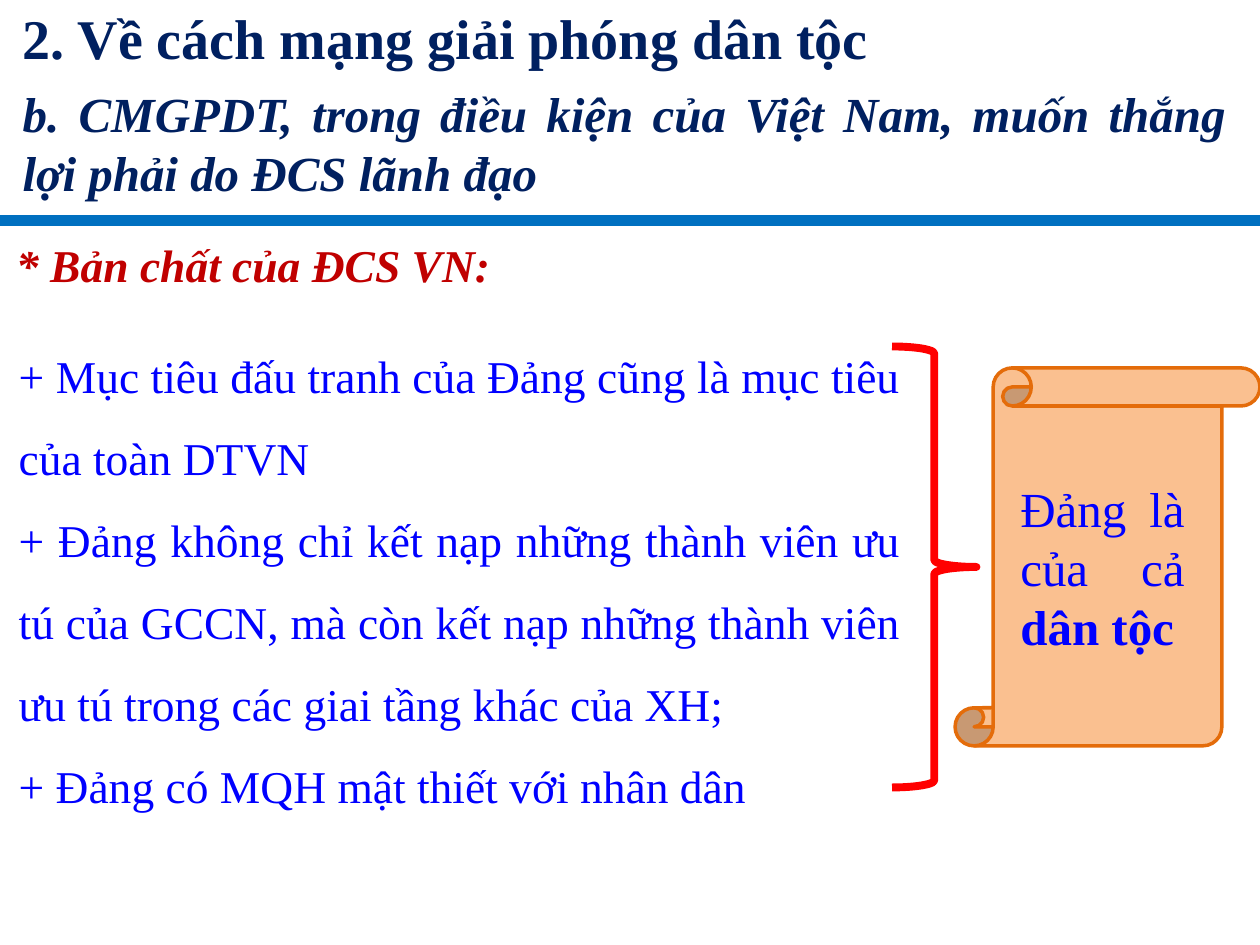
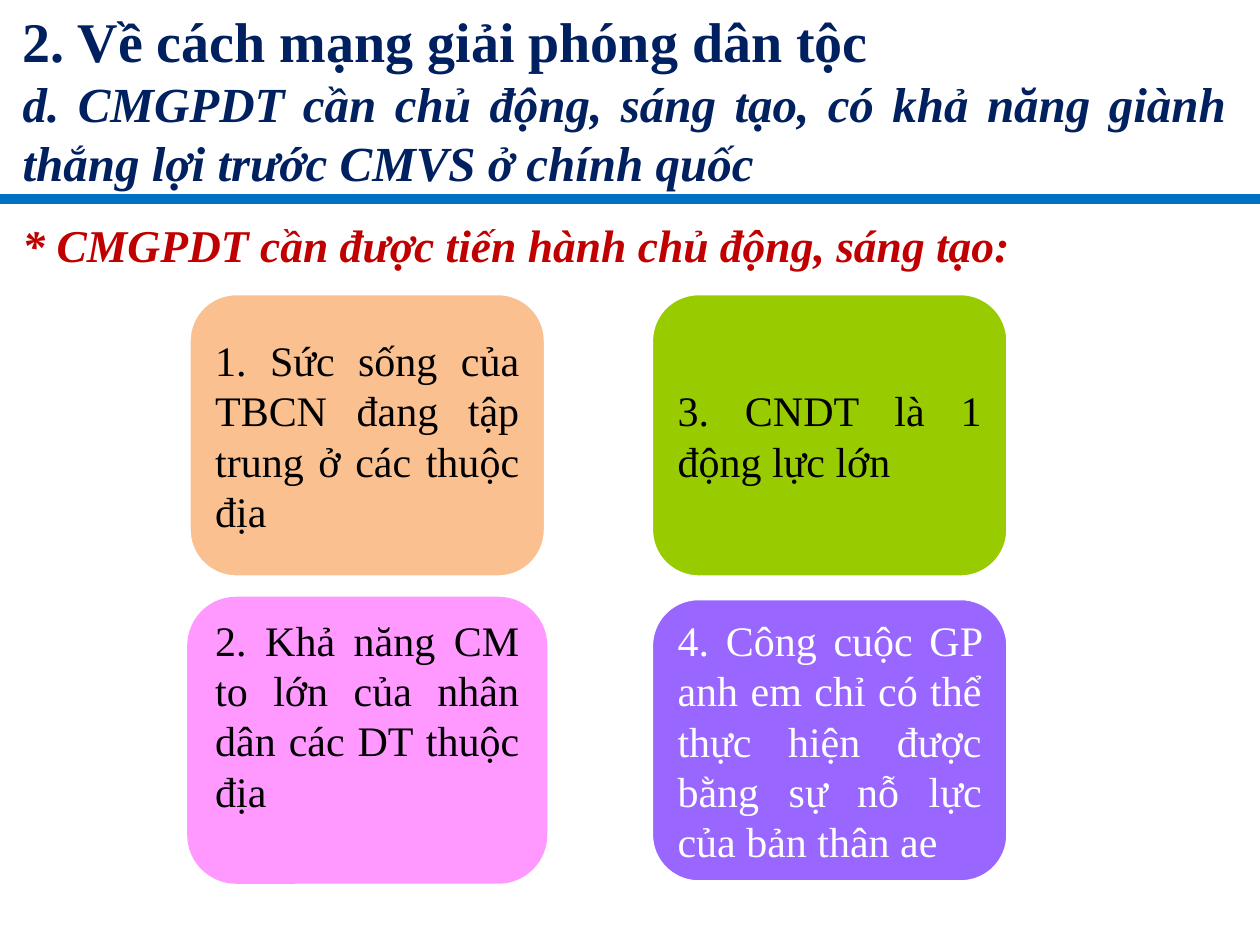
from dataclasses import dataclass

import pptx
import pptx.dml.color
import pptx.enum.shapes
import pptx.enum.text
import pptx.oxml.ns
import pptx.shapes.autoshape
import pptx.slide
import pptx.text.text
import pptx.util
from lxml import etree

Inches = pptx.util.Inches
Pt = pptx.util.Pt
RGBColor = pptx.dml.color.RGBColor
Shapes = pptx.enum.shapes.MSO_SHAPE
Align = pptx.enum.text.PP_ALIGN
Anchor = pptx.enum.text.MSO_ANCHOR

FONT = "Times New Roman"
NAVY = RGBColor(0x00, 0x20, 0x60)
BAND_BLUE = RGBColor(0x00, 0x70, 0xC0)
TEXT_BLUE = RGBColor(0x00, 0x00, 0xFF)
DARK_RED = RGBColor(0xC0, 0x00, 0x00)
RED = RGBColor(0xFF, 0x00, 0x00)
PEACH = RGBColor(0xFA, 0xC0, 0x90)
ORANGE = RGBColor(0xE4, 0x6C, 0x0A)
GREEN = RGBColor(0x99, 0xCC, 0x00)
PINK = RGBColor(0xFF, 0x99, 0xFF)
PURPLE = RGBColor(0x99, 0x66, 0xFF)
BLACK = RGBColor(0x00, 0x00, 0x00)
WHITE = RGBColor(0xFF, 0xFF, 0xFF)

SLIDE_WIDTH = 10
CHAPTER = "2. Về cách mạng giải phóng dân tộc"


@dataclass(frozen=True)
class Box:
    """A rectangle in inches."""
    left: float
    top: float
    width: float
    height: float

    def lengths(self) -> list[int]:
        return [Inches(value) for value in (self.left, self.top, self.width, self.height)]


@dataclass(frozen=True)
class Style:
    size: float
    color: RGBColor
    bold: bool = False
    italic: bool = False
    alignment: Align = Align.JUSTIFY


@dataclass(frozen=True)
class Header:
    section: str
    title_box: Box
    section_gap: float
    rule_top: float
    topic: str
    topic_box: Box


@dataclass(frozen=True)
class Reason:
    text: str
    column: int
    row: int
    fill: RGBColor
    line: RGBColor = WHITE
    text_color: RGBColor = BLACK
    bottom_inset: float = 0.05


CHAPTER_STYLE = Style(32, NAVY, bold=True)
SECTION_STYLE = Style(28, NAVY, bold=True, italic=True)
TOPIC_STYLE = Style(26, DARK_RED, bold=True, italic=True, alignment=Align.LEFT)
BODY_STYLE = Style(26, TEXT_BLUE)
SCROLL_STYLE = Style(28, TEXT_BLUE)

PARTY_HEADER = Header(
    "b. CMGPDT, trong điều kiện của Việt Nam, muốn thắng lợi phải do ĐCS lãnh đạo",
    Box(0.08, -0.02, 9.75, 1.67), 7, 1.75,
    "* Bản chất của ĐCS VN:", Box(0.03, 1.83, 9.8, 0.54))
INITIATIVE_HEADER = Header(
    "d. CMGPDT cần chủ động, sáng tạo, có khả năng giành thắng lợi trước CMVS ở chính quốc",
    Box(0.08, 0, 9.75, 1.57), 0, 1.58,
    "* CMGPDT cần được tiến hành chủ động, sáng tạo:", Box(0.08, 1.67, 9.75, 0.54))

PARTY_POINTS = [
    "+ Mục tiêu đấu tranh của Đảng cũng là mục tiêu của toàn DTVN",
    "+ Đảng không chỉ kết nạp những thành viên ưu tú của GCCN, mà còn kết nạp "
    "những thành viên ưu tú trong các giai tầng khác của XH;",
    "+ Đảng có MQH mật thiết với nhân dân",
]

REASON_FIRST = Box(1.5, 2.33, 2.83, 2.25)
REASON_COLUMN_STEP = 3.67
REASON_ROW_STEP = 2.42
REASONS = [
    Reason("1. Sức sống của TBCN đang tập trung ở các thuộc địa", 0, 0, PEACH),
    Reason("2. Khả năng CM to lớn của nhân dân các DT thuộc địa", 0, 1, PINK,
           line=PINK, bottom_inset=0.45),
    Reason("3. CNDT là 1 động lực lớn", 1, 0, GREEN),
    Reason("4. Công cuộc GP anh em chỉ có thể thực hiện được bằng sự nỗ lực của bản thân ae",
           1, 1, PURPLE, text_color=WHITE),
]


def style_paragraph(paragraph: pptx.text.text._Paragraph, style: Style) -> None:
    paragraph.alignment = style.alignment
    font = paragraph.font
    font.name = FONT
    font.size = Pt(style.size)
    font.bold = style.bold
    font.italic = style.italic
    font.color.rgb = style.color


def write(frame: pptx.text.text.TextFrame, lines: list[tuple[str, Style]],
          anchor: Anchor = Anchor.TOP) -> None:
    """Fill a text frame with one paragraph per line."""
    frame.word_wrap = True
    frame.auto_size = pptx.enum.text.MSO_AUTO_SIZE.NONE
    frame.vertical_anchor = anchor
    frame.text = "\n".join(text for text, _ in lines)
    for paragraph, (_, style) in zip(frame.paragraphs, lines):
        style_paragraph(paragraph, style)


def add_text(slide: pptx.slide.Slide, box: Box,
             lines: list[tuple[str, Style]]) -> pptx.text.text.TextFrame:
    frame = slide.shapes.add_textbox(*box.lengths()).text_frame
    write(frame, lines)
    return frame


def add_outlined(slide: pptx.slide.Slide, kind: Shapes, box: Box, fill: RGBColor | None,
                 line: RGBColor, line_width: float = 2) -> pptx.shapes.autoshape.Shape:
    shape = slide.shapes.add_shape(kind, *box.lengths())
    shape.shadow.inherit = False
    if fill is None:
        shape.fill.background()
    else:
        shape.fill.solid()
        shape.fill.fore_color.rgb = fill
    shape.line.color.rgb = line
    shape.line.width = Pt(line_width)
    return shape


def add_rule(slide: pptx.slide.Slide, top: float) -> None:
    rule = slide.shapes.add_connector(
        pptx.enum.shapes.MSO_CONNECTOR.STRAIGHT,
        0, Inches(top), Inches(SLIDE_WIDTH), Inches(top))
    rule.line.color.rgb = BAND_BLUE
    rule.line.width = Pt(6)
    etree.SubElement(rule._element.spPr, pptx.oxml.ns.qn("a:effectLst"))


def add_headed_slide(presentation: pptx.presentation.Presentation,
                     header: Header) -> pptx.slide.Slide:
    slide = presentation.slides.add_slide(presentation.slide_layouts[5])
    title = slide.shapes.title
    title.left, title.top, title.width, title.height = header.title_box.lengths()
    write(title.text_frame, [(CHAPTER, CHAPTER_STYLE), (header.section, SECTION_STYLE)])
    title.text_frame.paragraphs[1].space_before = Pt(header.section_gap)
    add_rule(slide, header.rule_top)
    add_text(slide, header.topic_box, [(header.topic, TOPIC_STYLE)])
    return slide


def build_party_slide(presentation: pptx.presentation.Presentation) -> None:
    slide = add_headed_slide(presentation, PARTY_HEADER)
    points = add_text(slide, Box(0.05, 2.5, 7.2, 4),
                      [(point, BODY_STYLE) for point in PARTY_POINTS])
    for paragraph in points.paragraphs:
        paragraph.line_spacing = 1.5
    add_outlined(slide, Shapes.RIGHT_BRACE, Box(7.08, 2.75, 0.67, 3.5), None, RED, 4.5)
    add_outlined(slide, Shapes.VERTICAL_SCROLL, Box(7.58, 2.92, 2.42, 3), PEACH, ORANGE)
    conclusion = add_text(slide, Box(8, 3.75, 1.5, 1.5), [("Đảng là của cả ", SCROLL_STYLE)])
    emphasis = conclusion.paragraphs[0].add_run()
    emphasis.text = "dân tộc"
    emphasis.font.bold = True


def build_initiative_slide(presentation: pptx.presentation.Presentation) -> None:
    slide = add_headed_slide(presentation, INITIATIVE_HEADER)
    for reason in REASONS:
        box = Box(REASON_FIRST.left + reason.column * REASON_COLUMN_STEP,
                  REASON_FIRST.top + reason.row * REASON_ROW_STEP,
                  REASON_FIRST.width, REASON_FIRST.height)
        card = add_outlined(slide, Shapes.FLOWCHART_ALTERNATE_PROCESS, box,
                            reason.fill, reason.line)
        write(card.text_frame, [(reason.text, Style(24, reason.text_color))], Anchor.MIDDLE)
        card.text_frame.margin_bottom = Inches(reason.bottom_inset)


def main() -> None:
    presentation = pptx.Presentation()
    presentation.slide_width = Inches(SLIDE_WIDTH)
    presentation.slide_height = Inches(7.5)
    build_party_slide(presentation)
    build_initiative_slide(presentation)
    presentation.save("out.pptx")


if __name__ == "__main__":
    main()
